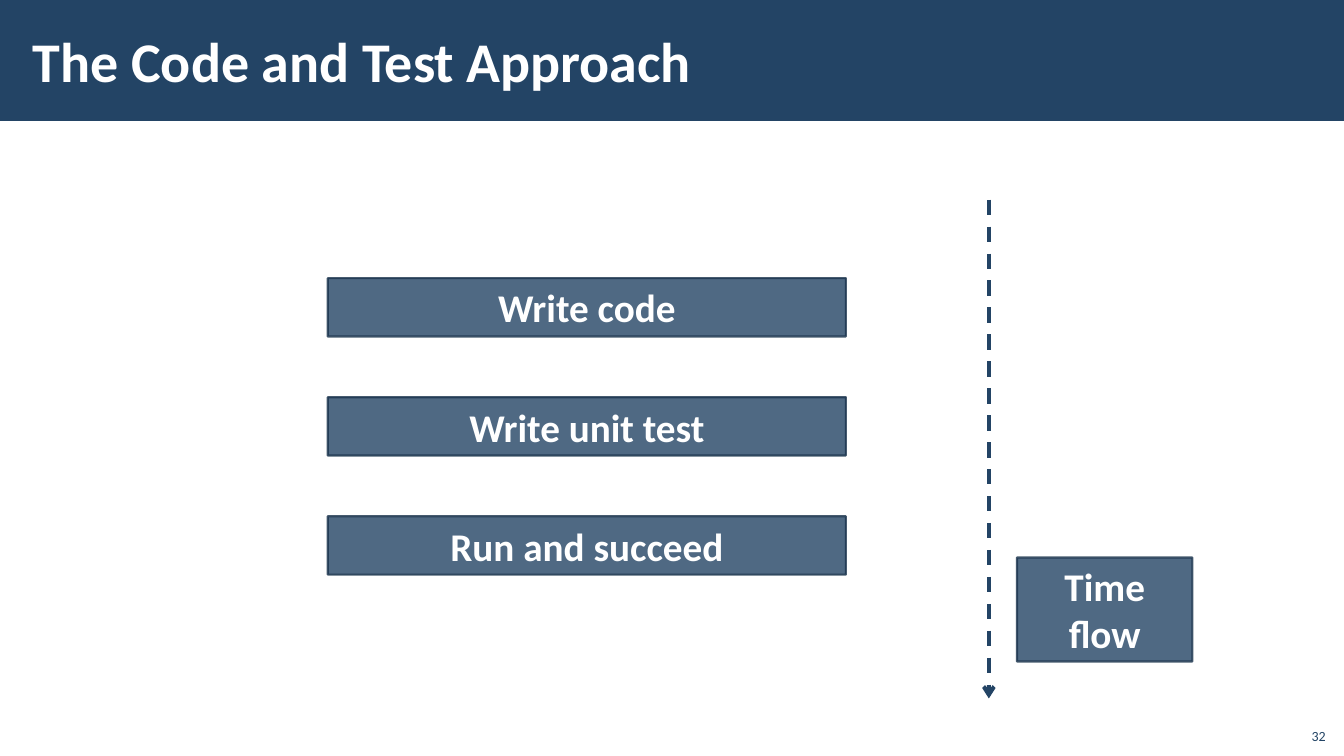
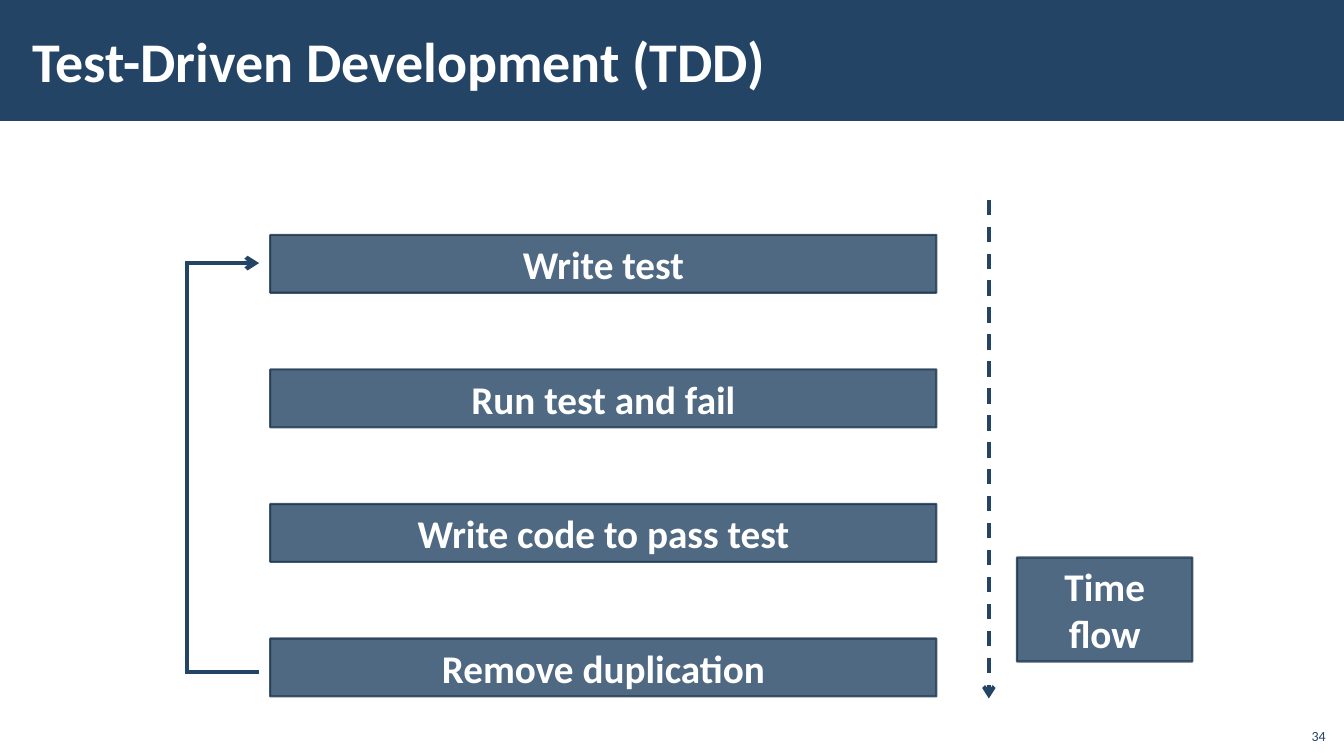
from pptx import Presentation
from pptx.dml.color import RGBColor
from pptx.enum.dml import MSO_LINE
from pptx.enum.shapes import MSO_CONNECTOR, MSO_SHAPE
from pptx.enum.text import MSO_ANCHOR, PP_ALIGN
from pptx.oxml.ns import qn
from pptx.util import Cm, Pt
from lxml.etree import SubElement

NAVY = RGBColor(0x23, 0x44, 0x65)
EDGE = RGBColor(0x1A, 0x33, 0x4C)
WHITE = RGBColor(0xFF, 0xFF, 0xFF)
FONT = "Calibri"
WIDE, HIGH = 33.87, 19.05

SLIDES = [
    {
        "title": "The Code and Test Approach",
        "number": "32",
        "steps": ["Write code", "Write unit test", "Run and succeed"],
        "first": (8.26, 7.01, 13.06, 1.47),
        "pitch": 3,
        "loop": [],
    },
    {
        "title": "Test-Driven Development (TDD)",
        "number": "34",
        "steps": ["Write test", "Run test and fail",
                  "Write code to pass test", "Remove duplication"],
        "first": (6.81, 5.92, 16.79, 1.46),
        "pitch": 3.39,
        "loop": [(6.53, 16.94), (4.72, 16.94), (4.72, 6.63), (6.53, 6.63)],
    },
]
TIME = ("Time flow", (25.63, 14.05, 4.42, 2.62))
FLOW = (24.92, 5.03, 24.92, 17.6)


def write(shape, text, size, color, bold, align, anchor):
    frame = shape.text_frame
    frame.word_wrap = True
    frame.vertical_anchor = anchor
    para = frame.paragraphs[0]
    para.text = text
    para.alignment = align
    font = para.font
    font.name, font.size, font.bold = FONT, Pt(size), bold
    font.color.rgb = color
    return frame


def add_rect(slide, area):
    rect = slide.shapes.add_shape(MSO_SHAPE.RECTANGLE, *map(Cm, area))
    rect.shadow.inherit = False
    rect.fill.solid()
    rect.fill.fore_color.rgb = NAVY
    return rect


def add_box(slide, text, area):
    box = add_rect(slide, area)
    box.line.color.rgb = EDGE
    box.line.width = Pt(1.5)
    for color in box._element.spPr.iter(qn("a:srgbClr")):
        SubElement(color, qn("a:alpha"), val="80000")
    write(box, text, 28, WHITE, True, PP_ALIGN.CENTER, MSO_ANCHOR.MIDDLE)


def add_arrow(shape, width, dash=None):
    shape.line.color.rgb = NAVY
    shape.line.width = Pt(width)
    if dash:
        shape.line.dash_style = dash
    props = shape._element.spPr
    line = props.find(qn("a:ln"))
    SubElement(line, qn("a:miter"), lim="800000")
    SubElement(line, qn("a:tailEnd"), type="arrow")


def add_flow(slide):
    flow = slide.shapes.add_connector(MSO_CONNECTOR.STRAIGHT, *map(Cm, FLOW))
    add_arrow(flow, 2.75, MSO_LINE.DASH)
    SubElement(flow._element.spPr, qn("a:effectLst"))


def add_loop(slide, points):
    start, *rest = [(Cm(x), Cm(y)) for x, y in points]
    path = slide.shapes.build_freeform(*start)
    path.add_line_segments(rest, close=False)
    loop = path.convert_to_shape()
    loop.shadow.inherit = False
    loop.fill.background()
    add_arrow(loop, 3)


def add_frame(slide, title, number):
    band = add_rect(slide, (0, 0, WIDE, 3.05))
    band.line.fill.background()
    page = slide.shapes.add_textbox(*map(Cm, (32.64, 18.08, 1.02, 0.81)))
    write(page, number, 10, NAVY, False, PP_ALIGN.RIGHT, MSO_ANCHOR.BOTTOM)
    head = slide.shapes.add_textbox(*map(Cm, (0.53, 0.28, 27, 2.46)))
    frame = write(head, title, 40, WHITE, True, PP_ALIGN.LEFT, MSO_ANCHOR.MIDDLE)
    frame.margin_left = frame.margin_right = Cm(0.3)
    frame.margin_top = frame.margin_bottom = Cm(0.1)


def main():
    deck = Presentation()
    deck.slide_width, deck.slide_height = Cm(WIDE), Cm(HIGH)
    for item in SLIDES:
        slide = deck.slides.add_slide(deck.slide_layouts[6])
        add_frame(slide, item["title"], item["number"])
        left, top, width, height = item["first"]
        for row, step in enumerate(item["steps"]):
            add_box(slide, step, (left, top + row * item["pitch"], width, height))
        add_box(slide, *TIME)
        if item["loop"]:
            add_loop(slide, item["loop"])
        add_flow(slide)
    deck.save("out.pptx")


if __name__ == "__main__":
    main()
